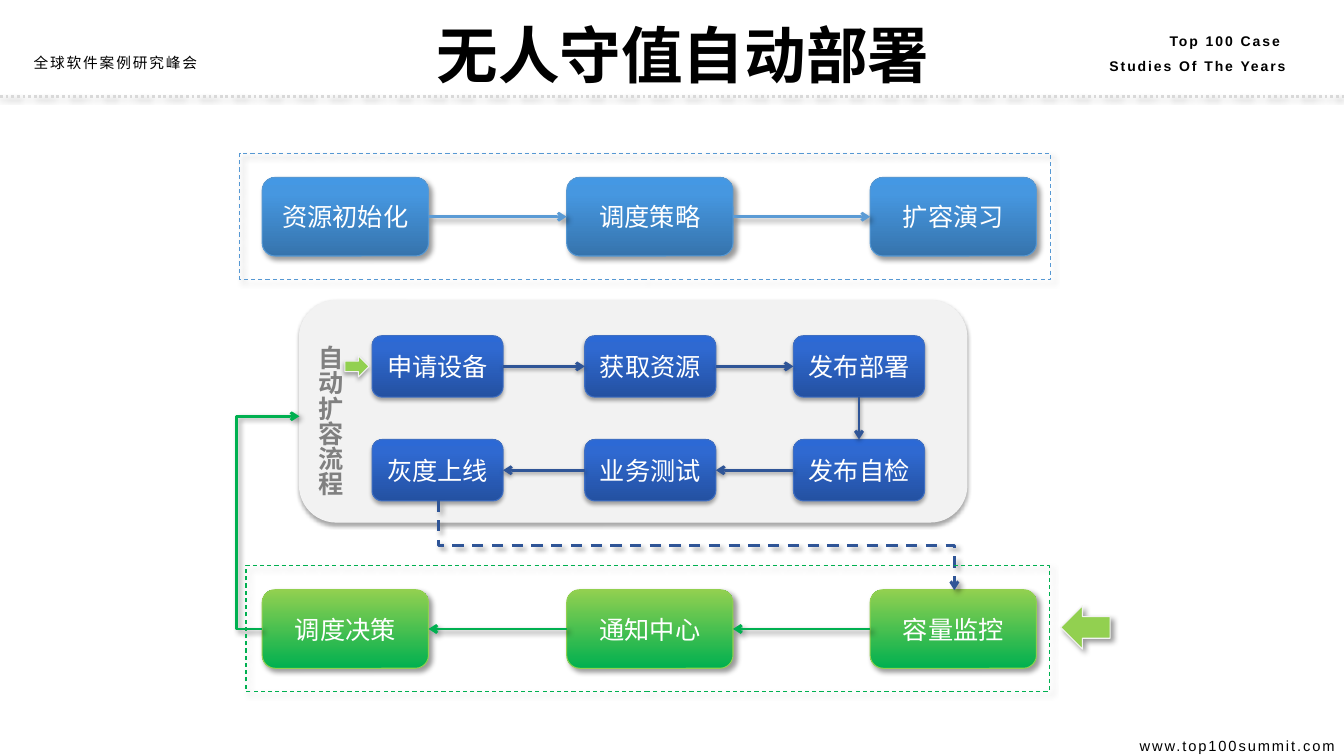
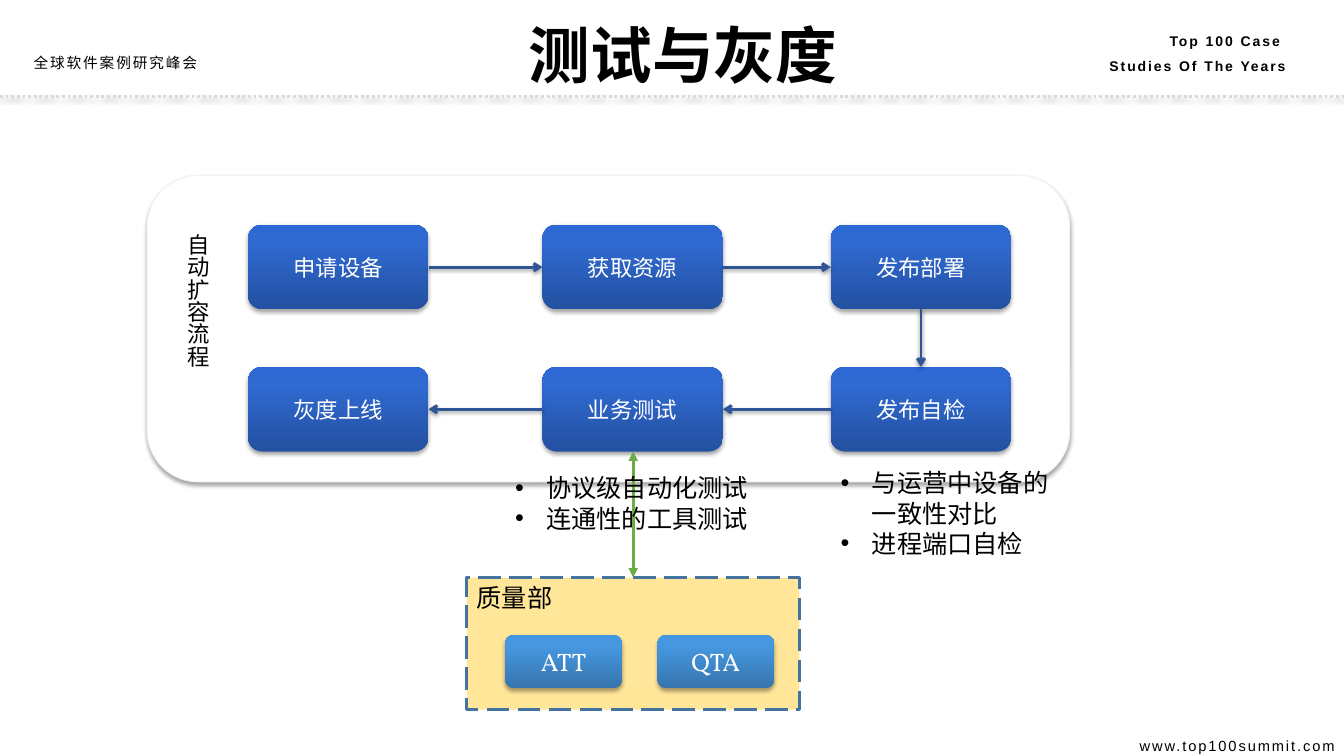
import pptx
import pptx.dml.color
import pptx.enum.dml
import pptx.enum.shapes
import pptx.enum.text
import pptx.oxml.ns
import pptx.util
from lxml import etree

Inches = pptx.util.Inches
Pt = pptx.util.Pt
RGBColor = pptx.dml.color.RGBColor
SHAPE = pptx.enum.shapes.MSO_SHAPE
CONNECTOR = pptx.enum.shapes.MSO_CONNECTOR
DASH = pptx.enum.dml.MSO_LINE
ALIGN = pptx.enum.text.PP_ALIGN
ANCHOR = pptx.enum.text.MSO_ANCHOR
AUTO_SIZE = pptx.enum.text.MSO_AUTO_SIZE
qn = pptx.oxml.ns.qn

BLACK = RGBColor(0x00, 0x00, 0x00)
WHITE = RGBColor(0xFF, 0xFF, 0xFF)
GRAY = RGBColor(0x80, 0x80, 0x80)
RULE_GRAY = RGBColor(0xD9, 0xD9, 0xD9)
PALE = RGBColor(0xF2, 0xF2, 0xF2)
NAVY = RGBColor(0x2F, 0x55, 0x97)
NAVY_EDGE = RGBColor(0x3F, 0x6F, 0xC3)
SKY = RGBColor(0x5B, 0x9B, 0xD5)
SKY_EDGE = RGBColor(0x56, 0x98, 0xD3)
GREEN = RGBColor(0x00, 0xB0, 0x50)
LIME = RGBColor(0x92, 0xD0, 0x50)
LEAF = RGBColor(0x6D, 0xAC, 0x43)
SAND = RGBColor(0xFF, 0xE6, 0x99)
STEEL = RGBColor(0x43, 0x73, 0x9E)
NAVY_BLEND = [(0, RGBColor(0x24, 0x51, 0xA1)), (80, RGBColor(0x2F, 0x69, 0xD1)),
              (100, RGBColor(0x2C, 0x69, 0xD5))]
SKY_BLEND = [(0, RGBColor(0x36, 0x74, 0xAD)), (80, RGBColor(0x46, 0x97, 0xE0)),
             (100, RGBColor(0x44, 0x98, 0xE4))]
GREEN_BLEND = [(0, GREEN), (100, LIME)]

SANS = "Noto Sans CJK SC"
SERIF = "Vollkorn"
SOFT = (35, 3.1, 1.8, 90)
LINE_SOFT = (38, 3.1, 1.6, 90)
CAST = (40, 4, 3, 45)


def finish(shape, line=None, width=0.75, fill=None, dash=None, shadow=None, head=None, tail=None):
    properties = shape.element.spPr
    if isinstance(fill, list):
        shape.fill.gradient()
        shape.fill.gradient_angle = 90
        stops = properties.find(".//" + qn("a:gsLst"))
        for stop in list(stops):
            stops.remove(stop)
        for position, color in fill:
            stop = etree.SubElement(stops, qn("a:gs"), pos=str(position * 1000))
            etree.SubElement(stop, qn("a:srgbClr"), val=str(color))
    elif fill is not None:
        shape.fill.solid()
        shape.fill.fore_color.rgb = fill
    elif hasattr(shape, "fill"):
        shape.fill.background()
    if line is None:
        shape.line.fill.background()
    else:
        shape.line.color.rgb = line
        shape.line.width = Pt(width)
        if dash is not None:
            shape.line.dash_style = dash
    for end, style in (("a:headEnd", head), ("a:tailEnd", tail)):
        if style:
            etree.SubElement(properties.find(qn("a:ln")), qn(end), type=style)
    effects = etree.SubElement(properties, qn("a:effectLst"))
    if shadow:
        alpha, blur, distance, angle = shadow
        outer = etree.SubElement(
            effects, qn("a:outerShdw"), blurRad=str(Pt(blur)), dist=str(Pt(distance)),
            dir=str(angle * 60000), algn="ctr", rotWithShape="0")
        tint = etree.SubElement(outer, qn("a:srgbClr"), val=str(BLACK))
        etree.SubElement(tint, qn("a:alpha"), val=str(alpha * 1000))


def write(shape, text, size, color=BLACK, font=SANS, bold=False, align=ALIGN.LEFT,
          spacing=None, tracking=0, bullet=False, wrap=True, vertical=False, anchor=ANCHOR.TOP):
    frame = shape.text_frame
    frame.text = text
    frame.word_wrap = wrap
    frame.vertical_anchor = anchor
    if vertical:
        frame.auto_size = AUTO_SIZE.SHAPE_TO_FIT_TEXT
        frame._txBody.bodyPr.set("vert", "eaVert")
    for paragraph in frame.paragraphs:
        paragraph.alignment = align
        if spacing:
            paragraph.line_spacing = spacing
        if bullet:
            layout = paragraph._p.get_or_add_pPr()
            layout.set("marL", str(Inches(0.31)))
            layout.set("indent", str(-Inches(0.31)))
            etree.SubElement(layout, qn("a:buFont"), typeface="Arial")
            etree.SubElement(layout, qn("a:buChar"), char="•")
        for run in paragraph.runs:
            run.font.size = Pt(size)
            run.font.bold = bold
            run.font.color.rgb = color
            run.font.name = font
            run_format = run.font._element
            etree.SubElement(run_format, qn("a:ea"), typeface=SANS)
            if tracking:
                run_format.set("spc", str(int(tracking * 100)))


deck = pptx.Presentation()
deck.slide_width = Inches(13.33)
deck.slide_height = Inches(7.5)
blank = deck.slide_layouts[6]
deploy = deck.slides.add_slide(blank)
testing = deck.slides.add_slide(blank)

summit = deploy.shapes.add_textbox(*map(Inches, (0, 0.5, 2.29, 0.26)))
write(summit, "全球软件案例研究峰会", 10.5, font=SERIF, align=ALIGN.CENTER,
      spacing=Pt(11.2), tracking=1.4)
tagline = deploy.shapes.add_textbox(*map(Inches, (10.32, 0.19, 2.53, 0.57)))
write(tagline, "Top 100 Case \nStudies Of The Years", 10, font="Arial", bold=True,
      align=ALIGN.RIGHT, spacing=1.5, tracking=1.4)
website = deploy.shapes.add_textbox(*map(Inches, (10.37, 7.17, 2.97, 0.33)))
write(website, "www.top100summit.com", 10.5, font="Arial", align=ALIGN.RIGHT,
      spacing=1.5, tracking=1.4)
header_rule = deploy.shapes.add_connector(
    CONNECTOR.STRAIGHT, *map(Inches, (0, 0.96, 13.33, 0.96)))
finish(header_rule, RULE_GRAY, 2, dash=DASH.ROUND_DOT, shadow=LINE_SOFT)
for shared in (summit, tagline, website, header_rule):
    blank.shapes.element.append(shared.element)

for slide, heading in ((deploy, "无人守值自动部署"), (testing, "测试与灰度")):
    title = slide.shapes.add_textbox(*map(Inches, (2.94, 0.12, 7.67, 0.84)))
    write(title, heading, 44, font=SERIF, bold=True, align=ALIGN.CENTER)

for slide, panel_at, fill, label_at, size, color, bold in (
        (deploy, (2.97, 2.98, 6.62, 2.2), PALE, (2.97, 3.33, 0.5, 1.62), 18, GRAY, True),
        (testing, (1.46, 1.74, 9.15, 3.04), WHITE, (1.68, 2.22, 0.47, 1.45), 16, BLACK, False)):
    panel = slide.shapes.add_shape(SHAPE.ROUNDED_RECTANGLE, *map(Inches, panel_at))
    finish(panel, PALE, fill=fill, shadow=SOFT)
    panel_label = slide.shapes.add_textbox(*map(Inches, label_at))
    write(panel_label, "自动扩容流程", size, color, bold=bold, wrap=False, vertical=True)

expansion = [("申请设备", 0, 0), ("获取资源", 1, 0), ("发布部署", 2, 0),
             ("发布自检", 2, 1), ("业务测试", 1, 1), ("灰度上线", 0, 1)]
preparation = [("资源初始化", 0, 0), ("调度策略", 1, 0), ("扩容演习", 2, 0)]
monitoring = [("容量监控", 2, 0), ("通知中心", 1, 0), ("调度决策", 0, 0)]
stage_lefts = (2.6, 5.62, 8.63)
flows = [
    (deploy, expansion, (3.69, 5.8, 7.87), (3.33, 4.36), 1.3, 0.61, 18,
     NAVY_BLEND, NAVY_EDGE, NAVY, SOFT, LINE_SOFT),
    (deploy, preparation, stage_lefts, (1.76,), 1.65, 0.78, 18,
     SKY_BLEND, SKY_EDGE, SKY, CAST, CAST),
    (deploy, monitoring, stage_lefts, (5.85,), 1.65, 0.78, 18,
     GREEN_BLEND, LIME, GREEN, CAST, CAST),
    (testing, expansion, (2.46, 5.38, 8.24), (2.23, 3.64), 1.79, 0.84, 16,
     NAVY_BLEND, None, NAVY, SOFT, LINE_SOFT),
]
for (slide, steps, lefts, tops, width, height, size,
     blend, edge, link_color, step_shadow, link_shadow) in flows:
    for name, column, row in steps:
        step = slide.shapes.add_shape(
            SHAPE.ROUNDED_RECTANGLE, *map(Inches, (lefts[column], tops[row], width, height)))
        finish(step, edge, fill=blend, shadow=step_shadow)
        write(step, name, size, WHITE, align=ALIGN.CENTER, anchor=ANCHOR.MIDDLE)
    for (_, column, row), (_, next_column, next_row) in zip(steps, steps[1:]):
        across = next_column - column
        down = next_row - row
        link = slide.shapes.add_connector(
            CONNECTOR.STRAIGHT,
            Inches(lefts[column] + (1 + across) * width / 2),
            Inches(tops[row] + (1 + down) * height / 2),
            Inches(lefts[next_column] + (1 - across) * width / 2),
            Inches(tops[next_row] + (1 - down) * height / 2))
        finish(link, link_color, 2, shadow=link_shadow, tail="arrow")

for direction, marker_at, shadow in (
        (SHAPE.RIGHT_ARROW, (3.42, 3.53, 0.24, 0.21), SOFT),
        (SHAPE.LEFT_ARROW, (10.52, 6.01, 0.49, 0.43), CAST)):
    marker = deploy.shapes.add_shape(direction, *map(Inches, marker_at))
    finish(marker, PALE, fill=LIME, shadow=shadow)

decision_link = deploy.shapes.add_connector(
    CONNECTOR.ELBOW, *map(Inches, (2.6, 6.24, 2.97, 4.13)))
finish(decision_link, GREEN, 2, shadow=CAST, tail="arrow")
bend = decision_link.element.spPr.find(qn("a:prstGeom")).get_or_add_avLst()
etree.SubElement(bend, qn("a:gd"), name="adj1", fmla="val -68100")

monitor_link = deploy.shapes.add_connector(
    CONNECTOR.ELBOW, *map(Inches, (7.35, 2.85, 6.46, 7.97)))
finish(monitor_link, NAVY, 2, dash=DASH.DASH, shadow=CAST, tail="arrow")
monitor_link.element.spPr.find(qn("a:xfrm")).set("rot", str(270 * 60000))

for stage_at, edge in (((2.38, 1.52, 8.04, 1.25), SKY_EDGE),
                       ((2.44, 5.61, 7.97, 1.25), GREEN)):
    stage = deploy.shapes.add_shape(SHAPE.RECTANGLE, *map(Inches, stage_at))
    finish(stage, edge, dash=DASH.DASH, shadow=CAST)

quality = testing.shapes.add_shape(SHAPE.RECTANGLE, *map(Inches, (4.63, 5.73, 3.3, 1.31)))
finish(quality, STEEL, 2, fill=SAND, dash=DASH.LONG_DASH)
write(quality, "质量部", 18, font=SERIF)
for team, left in (("ATT", 5.01), ("QTA", 6.52)):
    tool = testing.shapes.add_shape(
        SHAPE.ROUNDED_RECTANGLE, *map(Inches, (left, 6.3, 1.16, 0.53)))
    finish(tool, fill=SKY_BLEND, shadow=SOFT)
    write(tool, team, 18, WHITE, SERIF, align=ALIGN.CENTER, anchor=ANCHOR.MIDDLE)

quality_link = testing.shapes.add_connector(
    CONNECTOR.STRAIGHT, *map(Inches, (6.28, 4.48, 6.28, 5.73)))
finish(quality_link, LEAF, 2.25, head="triangle", tail="triangle")

for checks, checks_at, wrap in (
        ("与运营中设备的一致性对比\n进程端口自检", (8.24, 4.59, 2.5, 1.01), True),
        ("协议级自动化测试\n连通性的工具测试", (5.01, 4.64, 2.54, 0.71), False)):
    check_list = testing.shapes.add_textbox(*map(Inches, checks_at))
    write(check_list, checks, 18, bullet=True, wrap=wrap)

deck.save("out.pptx")
